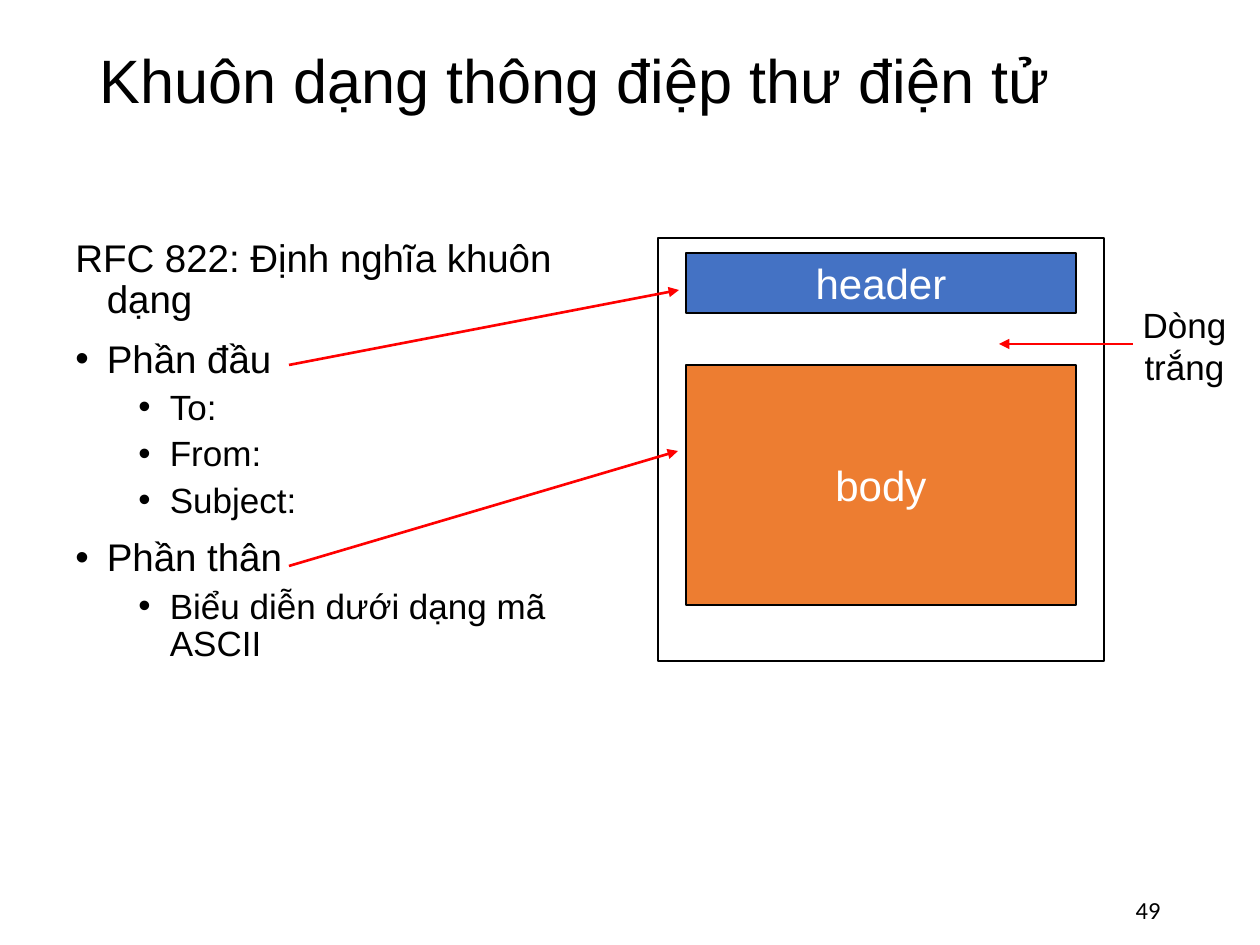
import pptx
import pptx.util
import pptx.dml.color
import pptx.enum.shapes
import pptx.enum.text
from lxml import etree
from pptx.oxml.ns import qn

PX = 914400 / 126  # EMU in one px
BLACK = pptx.dml.color.RGBColor(0x00, 0x00, 0x00)
WHITE = pptx.dml.color.RGBColor(0xFF, 0xFF, 0xFF)
BLUE = pptx.dml.color.RGBColor(0x44, 0x72, 0xC4)
ORANGE = pptx.dml.color.RGBColor(0xED, 0x7D, 0x31)
RED = pptx.dml.color.RGBColor(0xFF, 0x00, 0x00)

ALIGN = pptx.enum.text.PP_ALIGN
ANCHOR = pptx.enum.text.MSO_ANCHOR

# text, outline level, bulleted
OUTLINE = [
    ("RFC 822: Định nghĩa khuôn dạng", 0, False),
    ("Phần đầu", 0, True),
    ("To:", 1, True),
    ("From:", 1, True),
    ("Subject:", 1, True),
    ("Phần thân", 0, True),
    ("Biểu diễn dưới dạng mã ASCII", 1, True),
]


def emu(*lengths):
    return [pptx.util.Emu(round(length * PX)) for length in lengths]


def write(paragraph, text, size, color=BLACK, font="Arial", align=ALIGN.LEFT,
          spacing=None, before=0):
    run = paragraph.add_run()
    run.text = text
    run.font.size = pptx.util.Pt(size)
    run.font.name = font
    run.font.color.rgb = color
    paragraph.alignment = align
    paragraph.line_spacing = spacing
    paragraph.space_before = pptx.util.Pt(before)


def add_frame(slide, box, anchor=ANCHOR.TOP):
    frame = slide.shapes.add_textbox(*emu(*box)).text_frame
    frame.word_wrap = True
    frame.vertical_anchor = anchor
    return frame


def add_block(slide, box, fill=None, weight=0.75, label=None):
    block = slide.shapes.add_shape(
        pptx.enum.shapes.MSO_SHAPE.RECTANGLE, *emu(*box))
    block.shadow.inherit = False
    if fill is None:
        block.fill.background()
    else:
        block.fill.solid()
        block.fill.fore_color.rgb = fill
    block.line.color.rgb = BLACK
    block.line.width = pptx.util.Pt(weight)
    if label:
        block.text_frame.word_wrap = False
        block.text_frame.vertical_anchor = ANCHOR.MIDDLE
        write(block.text_frame.paragraphs[0], label, 24, WHITE,
              align=ALIGN.CENTER)


def add_arrow(slide, start, end):
    arrow = slide.shapes.add_connector(
        pptx.enum.shapes.MSO_CONNECTOR.STRAIGHT, *emu(*start, *end))
    arrow.line.color.rgb = RED
    arrow.line.width = pptx.util.Pt(1.5)
    etree.SubElement(arrow.line._get_or_add_ln(), qn("a:tailEnd"),
                     type="triangle")
    etree.SubElement(arrow._element.spPr, qn("a:effectLst"))


def set_indent(paragraph, level, bulleted):
    step = pptx.util.Inches(0.25)
    paragraph.level = level
    properties = paragraph._p.get_or_add_pPr()
    properties.set("marL", str(step * (1 + 2 * level)))
    properties.set("indent", str(-step))
    if bulleted:
        etree.SubElement(properties, qn("a:buFont"), typeface="Arial")
        etree.SubElement(properties, qn("a:buChar"), char="•")
    else:
        etree.SubElement(properties, qn("a:buNone"))


def add_title(slide, box):
    frame = add_frame(slide, box, ANCHOR.MIDDLE)
    write(frame.paragraphs[0], "Khuôn dạng thông điệp thư điện tử", 35,
          spacing=0.9)


def add_outline(slide, box):
    frame = add_frame(slide, box)
    for index, (text, level, bulleted) in enumerate(OUTLINE):
        paragraph = frame.add_paragraph() if index else frame.paragraphs[0]
        write(paragraph, text, 20 if level else 22, spacing=0.9,
              before=5 if level else 10)
        set_indent(paragraph, level, bulleted)


def add_message(slide, box):
    left, top, width, height = box
    inset = 28
    inner = width - 2 * inset

    # Header and body inside the message outline
    add_block(slide, (left + inset, top + 15, inner, 60), BLUE, label="header")
    add_block(slide, (left + inset, top + 127, inner, 240), ORANGE,
              label="body")
    add_block(slide, box, weight=1)

    # Arrows from the outline to header and body
    add_arrow(slide, (left - 369, top + 127), (left + 21, top + 52))
    add_arrow(slide, (left - 369, top + 328), (left + 20, top + 213))

    # Blank line between header and body
    note = add_frame(slide, (left + 466, top + 59, 121, 97))
    write(note.paragraphs[0], "Dòng trắng", 20, align=ALIGN.CENTER)
    add_arrow(slide, (left + 475, top + 106), (left + 341, top + 106))


def add_page_number(slide, box):
    frame = add_frame(slide, box, ANCHOR.MIDDLE)
    write(frame.paragraphs[0], "49", 14, font="Calibri", align=ALIGN.RIGHT)


def main():
    deck = pptx.Presentation()
    deck.slide_width, deck.slide_height = emu(1260, 945)
    slide = deck.slides.add_slide(deck.slide_layouts[6])
    add_title(slide, (87, 33, 1086, 102))
    add_outline(slide, (63, 233, 556, 607))
    add_message(slide, (658, 238, 446, 423))
    add_page_number(slide, (890, 885, 283, 50))
    deck.save("out.pptx")


if __name__ == "__main__":
    main()
